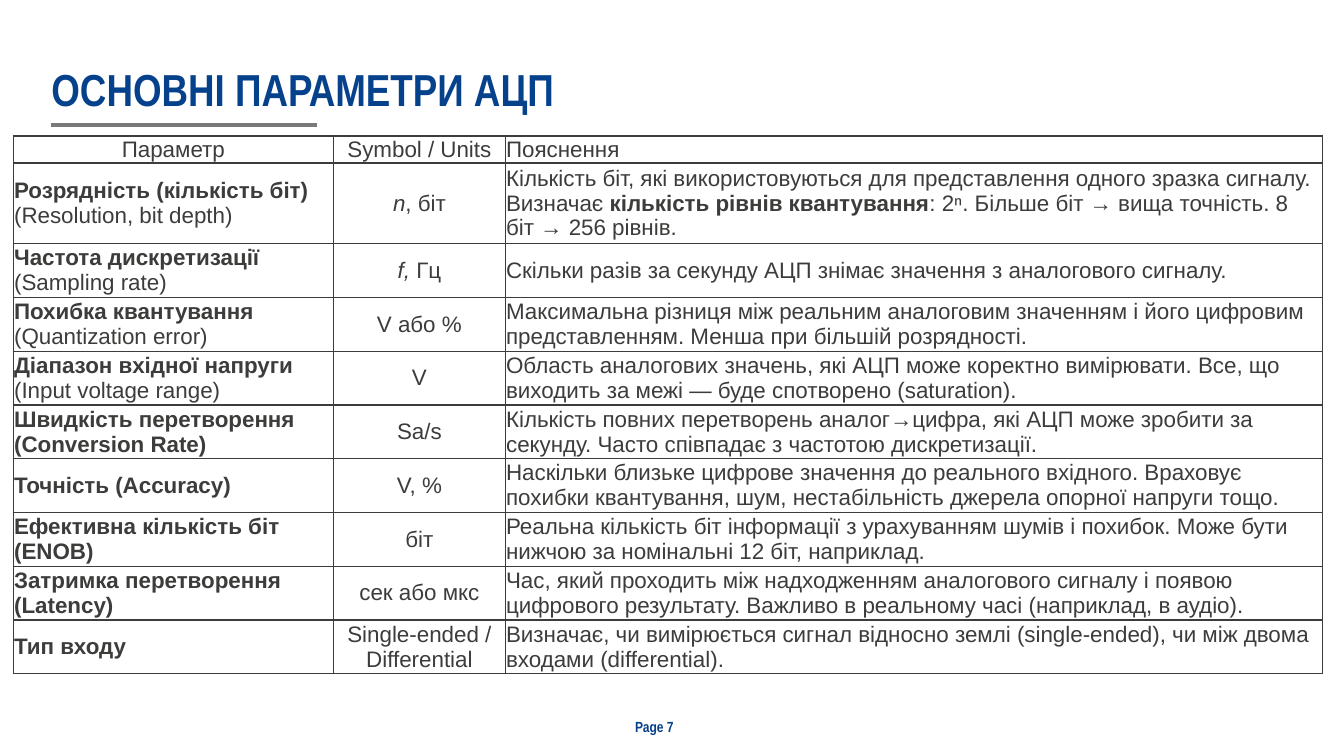
from lxml.etree import SubElement as Sub
from pptx import Presentation as Deck
from pptx.dml.color import RGBColor as RGB
from pptx.enum.shapes import MSO_CONNECTOR as Link
from pptx.enum.text import MSO_ANCHOR as Anchor, MSO_AUTO_SIZE as Fit, PP_ALIGN as Align
from pptx.oxml.ns import qn
from pptx.util import Inches, Pt

BLUE = RGB(0x06, 0x41, 0x8C)
GREY = RGB(0x79, 0x79, 0x79)
INK = RGB(0x3C, 0x3C, 0x3B)
WHITE = RGB(0xFF, 0xFF, 0xFF)

WIDTHS = [3.18, 1.7, 8.11]
ROWS = [
    ("Параметр", "Symbol / Units", "Пояснення"),
    ("*Розрядність (кількість біт)*\n(Resolution, bit depth)", "_n_, біт",
     "Кількість біт, які використовуються для представлення одного зразка сигналу. "
     "Визначає *кількість рівнів квантування*: 2ⁿ. Більше біт → вища точність. "
     "8 біт → 256 рівнів."),
    ("*Частота дискретизації*\n(Sampling rate)", "_f, _Гц",
     "Скільки разів за секунду АЦП знімає значення з аналогового сигналу."),
    ("*Похибка квантування*\n(Quantization error)", "V або %",
     "Максимальна різниця між реальним аналоговим значенням і його цифровим "
     "представленням. Менша при більшій розрядності."),
    ("*Діапазон вхідної напруги*\n(Input voltage range)", "V",
     "Область аналогових значень, які АЦП може коректно вимірювати. "
     "Все, що виходить за межі — буде спотворено (saturation)."),
    ("*Швидкість перетворення (Conversion Rate)*", "Sa/s",
     "Кількість повних перетворень аналог→цифра, які АЦП може зробити за секунду. "
     "Часто співпадає з частотою дискретизації."),
    ("*Точність (Accuracy)*", "V, %",
     "Наскільки близьке цифрове значення до реального вхідного. Враховує "
     "похибки квантування, шум, нестабільність джерела опорної напруги тощо."),
    ("*Ефективна кількість біт (ENOB)*", "біт",
     "Реальна кількість біт інформації з урахуванням шумів і похибок. "
     "Може бути нижчою за номінальні 12 біт, наприклад."),
    ("*Затримка перетворення (Latency)*", "сек або мкс",
     "Час, який проходить між надходженням аналогового сигналу і появою "
     "цифрового результату. Важливо в реальному часі (наприклад, в аудіо)."),
    ("*Тип входу*", "Single-ended / Differential",
     "Визначає, чи вимірюється сигнал відносно землі (single-ended), "
     "чи між двома входами (differential)."),
]


def write(frame, text, size, font="Arial", color=INK, align=Align.LEFT, space=1.0):
    for row, line in enumerate(text.split("\n")):
        para = frame.paragraphs[0] if row == 0 else frame.add_paragraph()
        para.alignment = align
        para.line_spacing = space
        for i, part in enumerate(line.split("*")):
            for j, piece in enumerate(part.split("_")):
                if not piece:
                    continue
                run = para.add_run()
                run.text = piece
                run.font.name = font
                run.font.size = Pt(size)
                run.font.color.rgb = color
                run.font.bold = i % 2 == 1
                run.font.italic = j % 2 == 1


def add_title(slide, text):
    title = slide.shapes.title
    title.left, title.top = Inches(0.51), Inches(0.65)
    title.width, title.height = Inches(12.3), Inches(0.5)
    frame = title.text_frame
    frame.margin_left = frame.margin_right = 0
    frame.margin_top = frame.margin_bottom = 0
    frame.vertical_anchor = Anchor.BOTTOM
    frame.auto_size = Fit.NONE
    write(frame, f"*{text}*", 32, font="Arial Narrow", color=BLUE, space=0.9)


def add_rule(slide):
    y = Inches(1.24)
    rule = slide.shapes.add_connector(Link.STRAIGHT, Inches(0.51), y, Inches(3.14), y)
    rule.line.color.rgb = GREY
    rule.line.width = Pt(3)
    Sub(rule.element.spPr, qn("a:effectLst"))


def add_page(slide, text):
    box = slide.shapes.add_textbox(Inches(6.2), Inches(7.07), Inches(0.67), Inches(0.28))
    box.text_frame.word_wrap = False
    write(box.text_frame, f"*{text}*", 10.5, font="Arial Narrow", color=BLUE)


def add_edges(cell):
    props = cell._tc.get_or_add_tcPr()
    for i, side in enumerate(("lnL", "lnR", "lnT", "lnB")):
        edge = props.makeelement(qn(f"a:{side}"), {"w": str(Pt(1))})
        fill = Sub(edge, qn("a:solidFill"))
        Sub(fill, qn("a:srgbClr"), val=str(INK))
        props.insert(i, edge)


def add_grid(slide):
    high = Inches(0.2)
    shape = slide.shapes.add_table(len(ROWS), len(WIDTHS), Inches(0.13), Inches(1.35),
                                   Inches(sum(WIDTHS)), high * len(ROWS))
    table = shape.table
    for col, width in zip(table.columns, WIDTHS):
        col.width = Inches(width)
    for r, texts in enumerate(ROWS):
        for c, text in enumerate(texts):
            cell = table.cell(r, c)
            cell.margin_left = cell.margin_right = Inches(0.01)
            cell.margin_top = cell.margin_bottom = 0
            cell.vertical_anchor = Anchor.MIDDLE
            cell.fill.solid()
            cell.fill.fore_color.rgb = WHITE
            add_edges(cell)
            mid = c == 1 or (r == 0 and c == 0)
            write(cell.text_frame, text, 16, align=Align.CENTER if mid else Align.LEFT)


def main():
    deck = Deck()
    deck.slide_width, deck.slide_height = Inches(13.33), Inches(7.5)
    slide = deck.slides.add_slide(deck.slide_layouts[5])
    add_rule(slide)
    add_page(slide, "Page 7")
    add_title(slide, "ОСНОВНІ ПАРАМЕТРИ АЦП")
    add_grid(slide)
    deck.save("out.pptx")


if __name__ == "__main__":
    main()
